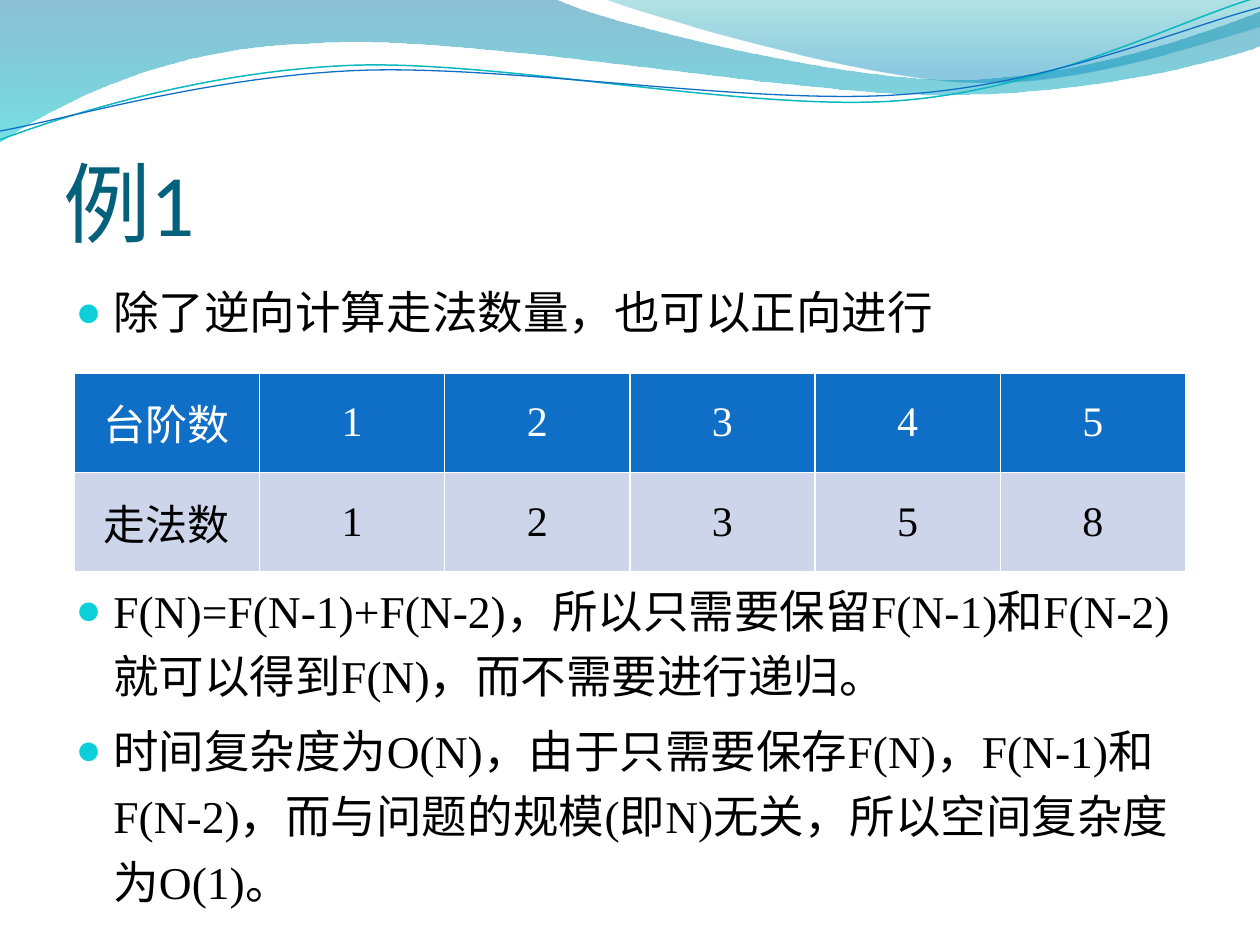
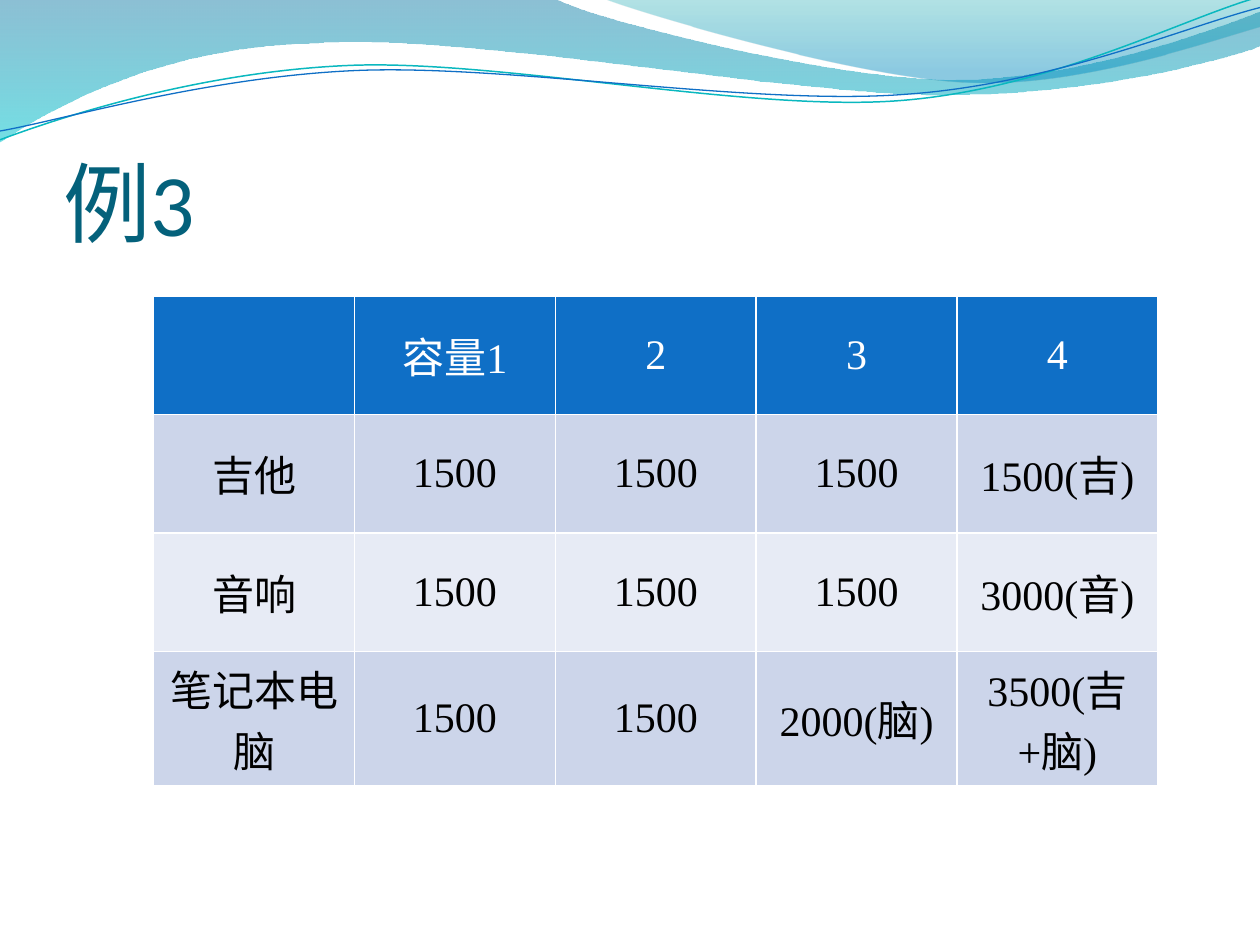
import lxml.etree
import pptx
import pptx.dml.color
import pptx.enum.text
import pptx.oxml.ns
import pptx.util

Inches = pptx.util.Inches
Pt = pptx.util.Pt
qn = pptx.oxml.ns.qn

COLORS = {
    "title": "04617B", "text": "000000", "white": "FFFFFF", "bullet": "0BD0D9",
    "header": "0F6FC6", "band_dark": "CCD5EA", "band_light": "E7EBF5",
    "wave_blue": "0074A1", "wave_cyan": "00C6CF",
    "crest_teal": "00A1A9", "crest_blue": "008BBF",
    "line_teal": "0AB8BF", "line_blue": "0F6FC6",
}
TITLE_FONT = "Calibri"
BODY_FONT = "Times New Roman"

# Each outline is a start point, then lines (2 numbers) and Bezier curves (6 numbers).
WAVE = [(0, 0), (4.4, -0.01),
        (4.76, 0.17, 6.64, 0.63, 7.58, 0.63), (8.53, 0.63, 9.58, 0.26, 10, 0.09),
        (10.01, 0.36),
        (9.83, 0.44, 8.7, 0.76, 7.46, 0.75), (6.22, 0.75, 3.82, 0.28, 2.57, 0.34),
        (1.29, 0.36, 0.46, 0.83, -0.01, 1.13), (0, 0)]
CREST = [(4.79, -0.01),
         (5.09, 0.11, 6.82, 0.62, 7.69, 0.65), (8.56, 0.69, 9.61, 0.32, 10, 0.21),
         (10, 0), (4.79, -0.01)]
TEAL_LINE = [(0, 1.11),
             (0.48, 0.93, 1.58, 0.57, 2.77, 0.52), (3.95, 0.47, 5.93, 0.89, 7.13, 0.8),
             (8.33, 0.71, 9.38, 0.15, 9.98, -0.02)]
BLUE_LINE = [(0, 1.04),
             (0.47, 0.96, 1.64, 0.61, 2.83, 0.56), (4.03, 0.51, 5.97, 0.84, 7.17, 0.75),
             (8.36, 0.67, 9.41, 0.21, 10, 0.06)]

STEP_ROWS = [["台阶数", "1", "2", "3", "4", "5"],
             ["走法数", "1", "2", "3", "5", "8"]]
KNAPSACK_ROWS = [["", "容量1", "2", "3", "4"],
                 ["吉他", "1500", "1500", "1500", "1500(吉)"],
                 ["音响", "1500", "1500", "1500", "3000(音)"],
                 ["笔记本电脑", "1500", "1500", "2000(脑)", "3500(吉+脑)"]]
# Text and space before in points; the second item leaves room for the table.
STEP_NOTES = [
    ("除了逆向计算走法数量，也可以正向进行", 0),
    ("F(N)=F(N-1)+F(N-2)，所以只需要保留F(N-1)和F(N-2)就可以得到F(N)，而不需要进行递归。", 133),
    ("时间复杂度为O(N)，由于只需要保存F(N)，F(N-1)和F(N-2)，"
     "而与问题的规模(即N)无关，所以空间复杂度为O(1)。", 5.2),
]


def rgb(name):
    return pptx.dml.color.RGBColor.from_string(COLORS[name])


def add_element(parent, tag, **attributes):
    element = lxml.etree.SubElement(parent, qn(tag))
    for key, value in attributes.items():
        element.set(key, str(value))
    return element


def write_text(paragraph, text, font=BODY_FONT, size=24, color="text", align="LEFT"):
    paragraph.alignment = getattr(pptx.enum.text.PP_ALIGN, align)
    run = paragraph.add_run()
    run.text = text
    run.font.name = font
    run.font.size = Pt(size)
    run.font.bold = False
    run.font.color.rgb = rgb(color)


def place(shape, left, top, width, height):
    shape.left, shape.top = Inches(left), Inches(top)
    shape.width, shape.height = Inches(width), Inches(height)


def bend_curves(shape, outline):
    """Join the three straight segments of each curve into one Bezier segment."""
    path_element = next(shape.element.iter(qn("a:path")))
    segments = iter(path_element.findall(qn("a:lnTo")))
    for part in outline[1:]:
        first = next(segments)
        if len(part) == 6:
            curve = lxml.etree.Element(qn("a:cubicBezTo"))
            first.addprevious(curve)
            for segment in (first, next(segments), next(segments)):
                curve.append(segment[0])
                path_element.remove(segment)


def add_outline(slide, outline, close):
    points = [(Inches(part[i]), Inches(part[i + 1]))
              for part in outline for i in range(0, len(part), 2)]
    builder = slide.shapes.build_freeform(*points[0])
    builder.add_line_segments(points[1:], close=close)
    shape = builder.convert_to_shape()
    bend_curves(shape, outline)
    shape.shadow.inherit = False
    return shape


def add_gradient_wave(slide, outline, stops):
    """Stops are (position, colour name, opacity percent), from top to bottom."""
    shape = add_outline(slide, outline, close=True)
    shape.line.fill.background()
    shape.fill.gradient()
    shape.fill.gradient_angle = 270
    for stop, (position, color, _) in zip(shape.fill.gradient_stops, stops):
        stop.position = position
        stop.color.rgb = rgb(color)
    for element, (_, _, opacity) in zip(shape.element.iter(qn("a:srgbClr")), stops):
        add_element(element, "a:alpha", val=opacity * 1000)
    return shape


def add_wave_line(slide, outline, color, width):
    shape = add_outline(slide, outline, close=False)
    shape.fill.background()
    shape.line.color.rgb = rgb(color)
    shape.line.width = Pt(width)
    return shape


def add_waves_to_master(presentation, slide):
    """Draw the header waves on a slide and move them behind the master's shapes."""
    waves = [
        add_gradient_wave(slide, WAVE, [(0, "wave_blue", 45), (1, "wave_cyan", 55)]),
        add_gradient_wave(slide, CREST, [(0, "crest_teal", 30), (0.8, "crest_blue", 45)]),
        add_wave_line(slide, TEAL_LINE, "line_teal", 0.85),
        add_wave_line(slide, BLUE_LINE, "line_blue", 0.75),
    ]
    master_tree = presentation.slide_master.shapes.element
    for index, wave in enumerate(waves):
        master_tree.insert(2 + index, wave.element)


def set_title(slide, text):
    title = slide.shapes.title
    place(title, 0.5, 0.77, 9, 1.25)
    frame = title.text_frame
    frame.auto_size = pptx.enum.text.MSO_AUTO_SIZE.NONE
    frame.vertical_anchor = pptx.enum.text.MSO_ANCHOR.BOTTOM
    frame.margin_left = frame.margin_right = frame.margin_bottom = 0
    frame.margin_top = Inches(0.05)
    write_text(frame.paragraphs[0], text, font=TITLE_FONT, size=50, color="title")


def add_bullet(paragraph):
    properties = paragraph._p.get_or_add_pPr()
    properties.set("marL", str(Inches(0.3)))
    properties.set("indent", str(-Inches(0.3)))
    bullet_color = add_element(properties, "a:buClr")
    add_element(bullet_color, "a:srgbClr", val=COLORS["bullet"])
    add_element(properties, "a:buSzPct", val=95000)
    add_element(properties, "a:buChar", char="●")


def fill_body(slide, items):
    body = slide.placeholders[1]
    place(body, 0.5, 2.12, 9, 5.38)
    frame = body.text_frame
    frame.auto_size = pptx.enum.text.MSO_AUTO_SIZE.NONE
    for index, (text, space_before) in enumerate(items):
        paragraph = frame.add_paragraph() if index else frame.paragraphs[0]
        add_bullet(paragraph)
        paragraph.line_spacing = 1.2
        paragraph.space_before = Pt(space_before)
        write_text(paragraph, text, size=26)


def set_borders(cell):
    properties = cell._tc.get_or_add_tcPr()
    for side in "LRTB":
        line = add_element(properties, "a:ln" + side, w=Pt(1))
        add_element(add_element(line, "a:solidFill"), "a:srgbClr", val=COLORS["white"])


def add_grid(slide, rows, left, top, width, row_height):
    table = slide.shapes.add_table(
        len(rows), len(rows[0]), Inches(left), Inches(top),
        Inches(width), Inches(row_height * len(rows))).table
    table.first_row = table.horz_banding = False
    for row_index, row in enumerate(rows):
        is_header = row_index == 0
        band = "band_dark" if row_index % 2 else "band_light"
        for column_index, text in enumerate(row):
            cell = table.cell(row_index, column_index)
            set_borders(cell)
            cell.fill.solid()
            cell.fill.fore_color.rgb = rgb("header" if is_header else band)
            cell.vertical_anchor = pptx.enum.text.MSO_ANCHOR.MIDDLE
            if text:
                write_text(cell.text_frame.paragraphs[0], text, align="CENTER",
                           color="white" if is_header else "text")


def main():
    presentation = pptx.Presentation()
    presentation.slide_width, presentation.slide_height = Inches(10), Inches(7.5)
    layouts = presentation.slide_layouts

    steps_slide = presentation.slides.add_slide(layouts.get_by_name("Title and Content"))
    add_waves_to_master(presentation, steps_slide)
    set_title(steps_slide, "例1")
    fill_body(steps_slide, STEP_NOTES)
    add_grid(steps_slide, STEP_ROWS, 0.59, 2.96, 8.82, 0.79)

    knapsack_slide = presentation.slides.add_slide(layouts.get_by_name("Title Only"))
    set_title(knapsack_slide, "例3")
    add_grid(knapsack_slide, KNAPSACK_ROWS, 1.22, 2.35, 7.97, 0.94)

    presentation.save("out.pptx")


if __name__ == "__main__":
    main()
